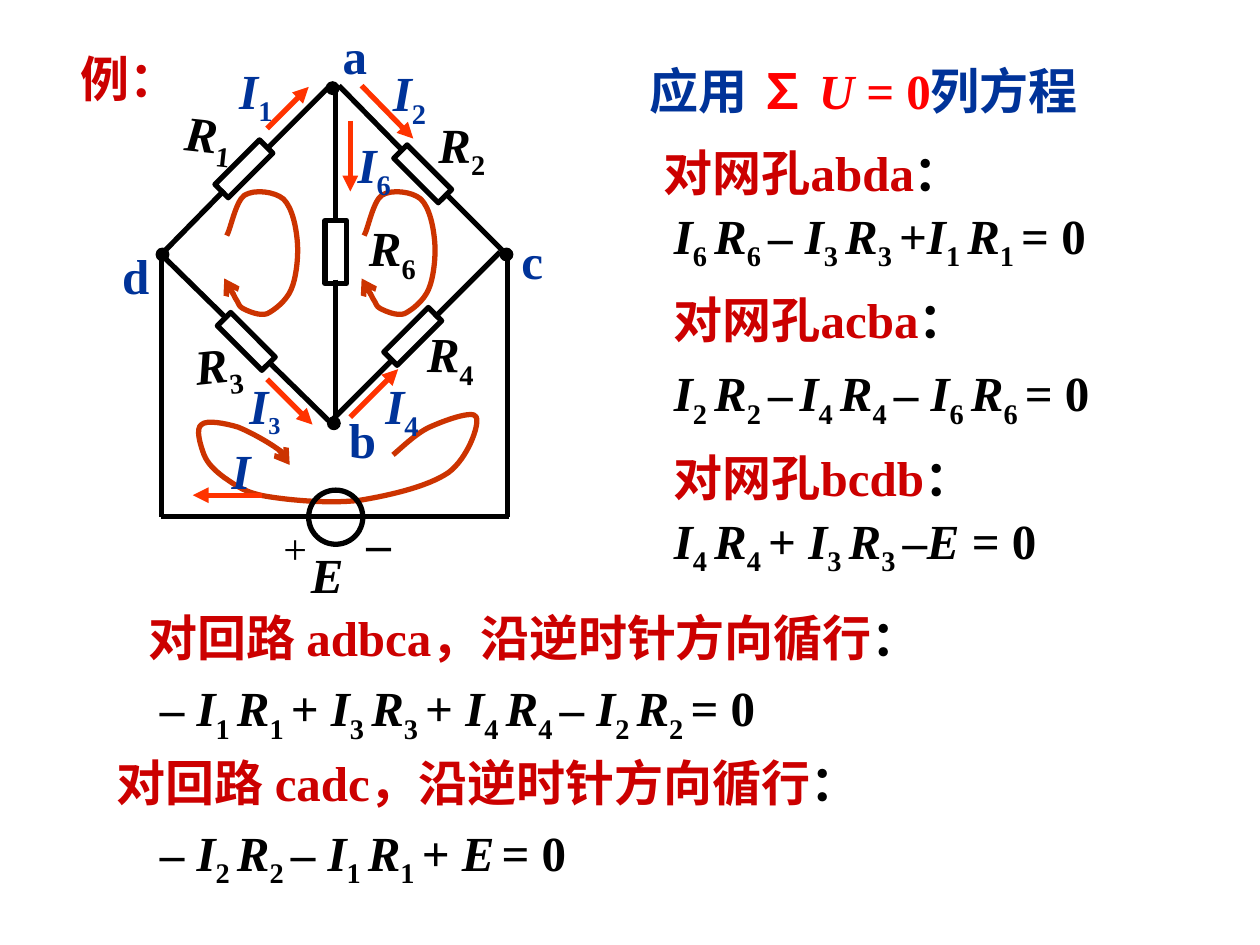
from dataclasses import dataclass
from itertools import groupby
from typing import NamedTuple

from lxml import etree
from pptx import Presentation
from pptx import util as u
from pptx.dml.color import RGBColor
from pptx.enum import shapes, text
from pptx.oxml.ns import qn


@dataclass(frozen=True)
class Theme:
    ink: str = "000000"
    red: str = "CC0000"
    blue: str = "003399"
    hot: str = "FF0000"
    flow: str = "FF3300"
    loop: str = "CC3300"
    serif: str = "Times New Roman"
    sans: str = "Arial"
    size: int = 28
    small: int = 24
    wire: float = 3
    thin: float = 0.75


T = Theme()


class Piece(NamedTuple):
    text: str
    color: str
    font: str = T.serif


class Label(NamedTuple):
    text: str
    x: float
    y: float
    w: float
    h: float = 0.57
    rot: float = 0
    wrap: bool = False
    size: int = T.size
    bold: bool = True
    sub: int = T.size


class Part(NamedTuple):
    x: float
    y: float
    w: float
    h: float
    rot: float = 0


def rgb(color: str) -> RGBColor:
    return RGBColor.from_string(color)


def marks(line: str) -> list[tuple[str, bool, bool]]:
    """Symbols are italic; digits after a symbol, with their space, are low.

    A tilde stands for a low space elsewhere.
    """
    out, low = [], False
    for i, ch in enumerate(line):
        low = (ch.isdigit() and i > 0 and line[i - 1] in "IR") or (low and ch == " ")
        out.append((" ", False, True) if ch == "~" else (ch, ch in "IREU", low))
    return out


def write(slide, pieces: list[Piece], x, y, w, h, *, rot=0, wrap=True, size=T.size,
          bold=True, sub=T.size, mid=False, grow=True, lead=None) -> None:
    box = slide.shapes.add_textbox(*map(u.Inches, (x, y, w, h)))
    box.rotation = rot
    frame = box.text_frame
    frame.word_wrap = wrap
    if grow:
        frame.auto_size = text.MSO_AUTO_SIZE.SHAPE_TO_FIT_TEXT
    para = frame.paragraphs[0]
    if mid:
        frame.vertical_anchor = text.MSO_ANCHOR.MIDDLE
        para.alignment = text.PP_ALIGN.CENTER
    if lead:
        para.line_spacing = lead
    for piece in pieces:
        for (slant, low), run in groupby(marks(piece.text), key=lambda m: m[1:]):
            r = para.add_run()
            r.text = "".join(m[0] for m in run)
            f = r.font
            f.name, f.bold, f.italic = piece.font, bold, slant
            f.size = u.Pt(sub if low else size)
            f.color.rgb = rgb(piece.color)
            if low:
                f._element.set("baseline", "-25000")


def stroke(shape, color: str, width: float, tip: str = "") -> None:
    shape.line.color.rgb = rgb(color)
    shape.line.width = u.Pt(width)
    if tip:
        etree.SubElement(shape.line._get_or_add_ln(), qn("a:tailEnd"), type=tip)


def wire(slide, ends: tuple, color: str = T.ink, tip: str = "") -> None:
    line = slide.shapes.add_connector(shapes.MSO_CONNECTOR.STRAIGHT, *map(u.Inches, ends))
    stroke(line, color, T.wire, tip)
    etree.SubElement(line._element.spPr, qn("a:effectLst"))


def solid(slide, kind, part: Part, width: float = T.wire, fill: str = "") -> None:
    shape = slide.shapes.add_shape(kind, *map(u.Inches, part[:4]))
    shape.rotation = part.rot
    shape.shadow.inherit = False
    stroke(shape, T.ink, width)
    if fill:
        shape.fill.solid()
        shape.fill.fore_color.rgb = rgb(fill)
    else:
        shape.fill.background()


def curve(slide, points: list[tuple], dx: float = 0) -> None:
    """Draw cubic arcs: a start point, then three points for each arc."""
    pts = [(u.Inches(x + dx), u.Inches(y)) for x, y in points]
    form = slide.shapes.build_freeform(*pts[0])
    form.add_line_segments(pts[1:], close=False)
    shape = form.convert_to_shape()
    shape.shadow.inherit = False
    shape.fill.background()
    stroke(shape, T.loop, T.wire, "arrow")
    route = next(shape._element.iter(qn("a:path")))
    legs = route.findall(qn("a:lnTo"))
    for i in range(0, len(legs), 3):
        arc = etree.SubElement(route, qn("a:cubicBezTo"))
        for leg in legs[i:i + 3]:
            arc.append(leg[0])
            route.remove(leg)


MESH = [(1.8, 1.87), (1.83, 1.82), (1.87, 1.6), (1.94, 1.55), (2.02, 1.5), (2.18, 1.52),
        (2.25, 1.58), (2.32, 1.65), (2.35, 1.8), (2.36, 1.92), (2.37, 2.04), (2.35, 2.21),
        (2.31, 2.3), (2.27, 2.39), (2.18, 2.46), (2.12, 2.49), (2.06, 2.51), (1.97, 2.47),
        (1.93, 2.45), (1.89, 2.43), (1.9, 2.41), (1.87, 2.37), (1.85, 2.33), (1.8, 2.24),
        (1.78, 2.21)]
BASE = [(3.12, 3.61), (3.17, 3.57), (3.3, 3.44), (3.41, 3.39), (3.52, 3.34), (3.76, 3.25),
        (3.78, 3.31), (3.81, 3.37), (3.71, 3.64), (3.56, 3.75), (3.4, 3.86), (3.1, 3.93),
        (2.86, 3.97), (2.62, 4), (2.3, 3.97), (2.12, 3.94), (1.94, 3.91), (1.87, 3.85),
        (1.78, 3.79), (1.7, 3.73), (1.65, 3.68), (1.62, 3.61), (1.59, 3.53), (1.55, 3.4),
        (1.6, 3.37), (1.64, 3.33), (1.79, 3.36), (1.89, 3.39), (1.99, 3.43), (2.13, 3.51),
        (2.2, 3.56), (2.27, 3.61), (2.28, 3.66), (2.3, 3.69)]
HEADS = [Label("对网孔abda", 5.17, 1.08, 4.25), Label("对网孔acba", 5.25, 2.25, 4.5),
         Label("对网孔bcdb", 5.25, 3.5, 3.75),
         Label("对回路 adbca，沿逆时针方向循行", 1.08, 4.77, 7.5),
         Label("对回路 cadc，沿逆时针方向循行", 0.83, 5.92, 7.5)]
SUMS = [Label("I6 R6 – I3 R3 +I1 R1 = 0", 5.25, 1.58, 4.25, 0.63),
        Label("I2 R2 –~I4 R4 – I6 R6 = 0", 5.25, 2.83, 4.5, 0.63),
        Label("I4 R4 + I3 R3 –E = 0", 5.25, 4, 3.75, 0.63),
        Label("– I1 R1 + I3 R3 + I4 R4 – I2 R2 = 0", 1.17, 5.33, 5.75, 0.63),
        Label("– I2 R2 – I1 R1 + E~= 0", 1.17, 6.48, 5.75, 0.63)]
NAMES = [Label("R6", 2.83, 1.68, 0.57, 0.63), Label("E", 2.37, 4.27, 0.67, wrap=True),
         Label("–", 2.81, 4.02, 0.4),
         Label("+", 2.15, 4.1, 0.39, 0.5, size=T.small, bold=False),
         Label("R3", 1.45, 2.6, 0.64, 0.63, 353.9, True),
         Label("R4", 3.29, 2.52, 0.57, 0.63, 0.5),
         Label("R1", 1.37, 0.78, 0.57, 0.63, 6.2),
         Label("R2", 3.38, 0.86, 0.57, 0.63, 359.7)]
TAGS = [Label("a", 2.62, 0.15, 0.39), Label("d", 0.87, 1.9, 0.41),
        Label("b", 2.67, 3.2, 0.41), Label("c", 4.04, 1.78, 0.37),
        *(Label(name, x, y, 0.52, 0.63, wrap=True) for name, x, y in
          (("I2", 3.02, 0.45), ("I4", 2.96, 2.93), ("I6", 2.74, 1.02), ("I1", 1.8, 0.43))),
        Label("I3", 1.88, 2.93, 0.52, 0.61, wrap=True, sub=T.small),
        Label("I", 1.74, 3.45, 0.46, wrap=True)]
WIRES = [(2.66, 1.77, 2.66, 0.68), (2.66, 2.22, 2.66, 3.34), (4.03, 2.02, 4.03, 4.1),
         (1.28, 2, 1.28, 4.1), (4.04, 4.1, 1.28, 4.1), (3.45, 2.52, 3.97, 2),
         (3.12, 2.85, 2.62, 3.35), (2.12, 1.18, 2.63, 0.67), (1.78, 1.51, 1.28, 2.02),
         (1.8, 2.53, 1.28, 2.02), (2.13, 2.87, 2.63, 3.36), (3.2, 1.2, 2.69, 0.68),
         (3.53, 1.53, 4.03, 2.03)]
FLOWS = [(2.78, 0.96, 2.78, 1.52), (2.08, 3.93, 1.53, 3.93), (2.87, 0.68, 3.28, 1.1),
         (2.78, 3.31, 3.16, 2.93), (2.12, 3.01, 2.48, 3.37), (2.12, 1.02, 2.45, 0.69)]
LOADS = [Part(3.2, 2.42, 0.15, 0.5, 45), Part(1.86, 1.09, 0.15, 0.5, 45),
         Part(1.88, 2.46, 0.15, 0.5, 315), Part(3.28, 1.13, 0.15, 0.5, 315),
         Part(2.58, 1.75, 0.17, 0.5)]
NODES = [(3.97, 1.97), (2.59, 0.65), (1.24, 1.97), (2.6, 3.31)]


def main() -> None:
    deck = Presentation()
    deck.slide_width, deck.slide_height = u.Inches(10), u.Inches(7.5)
    slide = deck.slides.add_slide(deck.slide_layouts[6])
    # Titles
    write(slide, [Piece("例：", T.red)], 0.21, 0.27, 1.63, 0.81, mid=True, grow=False, lead=0.7)
    write(slide, [Piece("应用 ", T.blue), Piece("∑ ", T.hot, T.sans), Piece("U = 0", T.hot),
                  Piece("列方程", T.blue)], 4.83, 0.43, 4.05, 0.57, mid=True)
    # Loop arrows
    for dx in (0, 1.09):
        curve(slide, MESH, dx)
    curve(slide, BASE)
    # Headings and equations
    for head in HEADS:
        write(slide, [Piece(head.text, T.red), Piece("：", T.ink)], *head[1:5])
    for row in SUMS:
        write(slide, [Piece(row.text, T.ink)], *row[1:5])
    # Circuit labels
    for group, color in ((NAMES, T.ink), (TAGS, T.blue)):
        for tag in group:
            write(slide, [Piece(tag.text, color)], *tag[1:5], rot=tag.rot, wrap=tag.wrap,
                  size=tag.size, bold=tag.bold, sub=tag.sub)
    # Wires, currents, resistors, source and nodes
    for ends in WIRES:
        wire(slide, ends)
    for ends in FLOWS:
        wire(slide, ends, T.flow, "triangle")
    for load in LOADS:
        solid(slide, shapes.MSO_SHAPE.RECTANGLE, load)
    solid(slide, shapes.MSO_SHAPE.OVAL, Part(2.45, 3.89, 0.43, 0.43))
    for x, y in NODES:
        solid(slide, shapes.MSO_SHAPE.OVAL, Part(x, y, 0.1, 0.1), T.thin, T.ink)
    deck.save("out.pptx")


if __name__ == "__main__":
    main()
